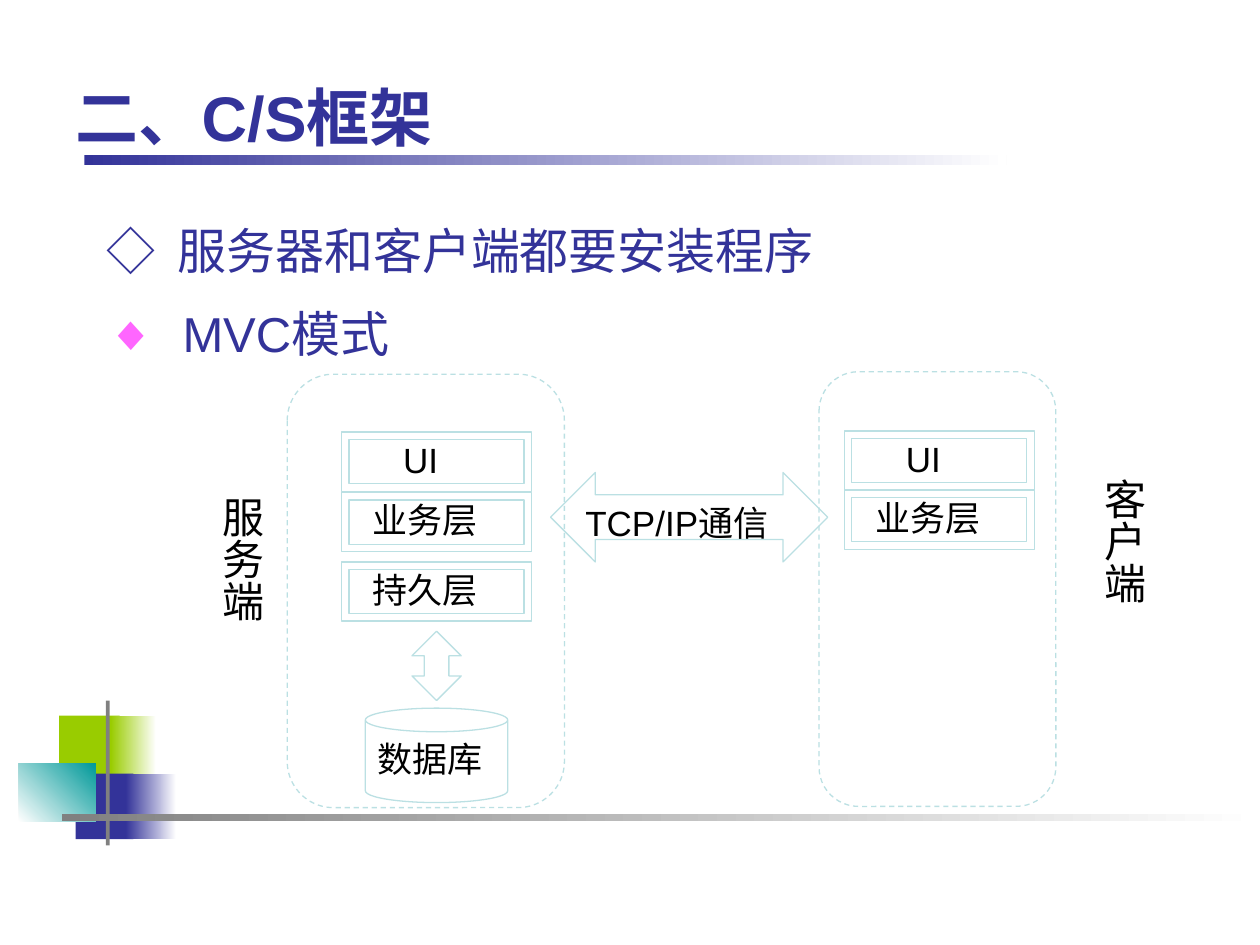
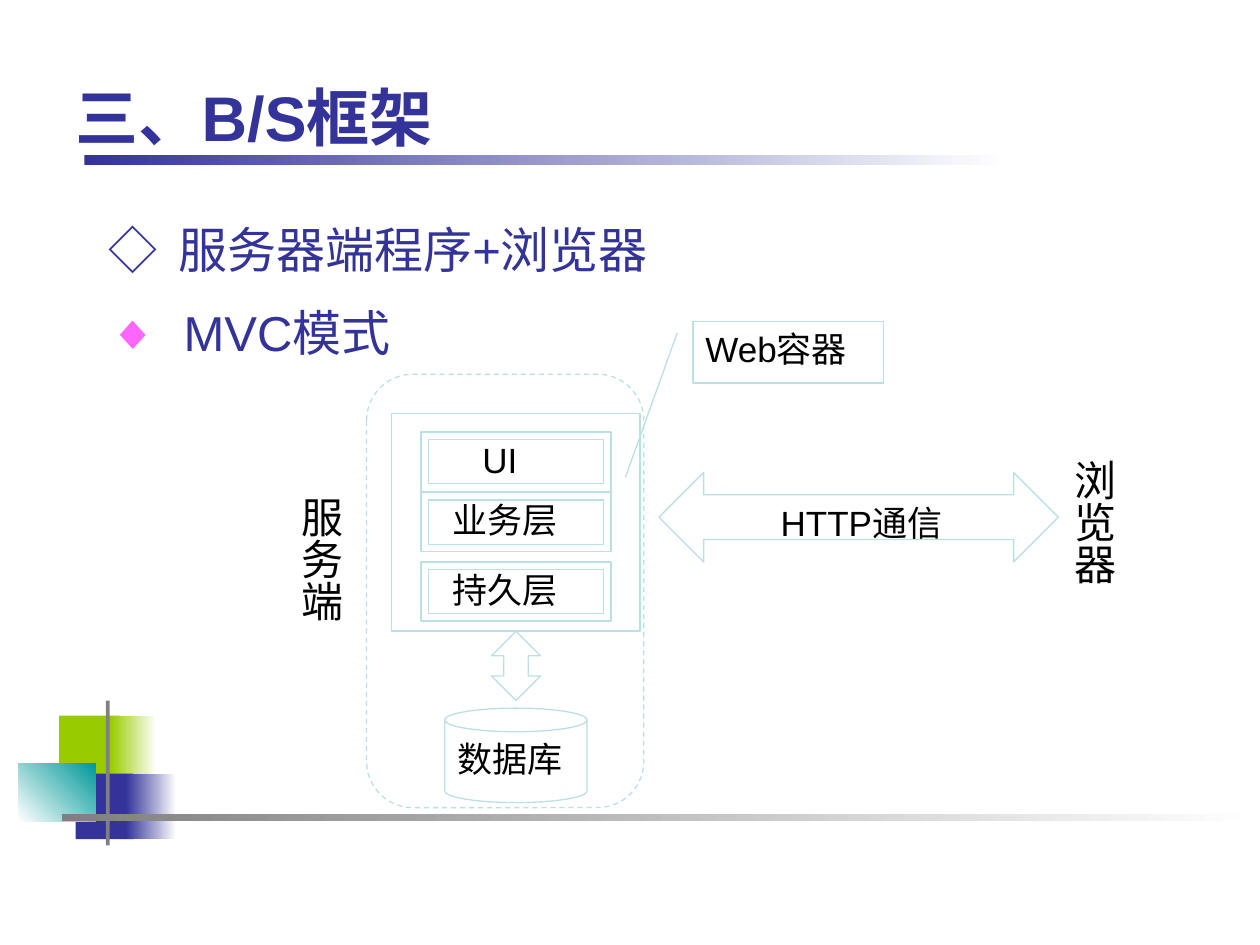
from dataclasses import dataclass

from pptx import Presentation
from pptx.dml.color import RGBColor
from pptx.enum.dml import MSO_LINE
from pptx.enum.shapes import MSO_SHAPE as Preset
from pptx.enum.text import MSO_ANCHOR as Anchor, PP_ALIGN as Align
from pptx.util import Inches, Pt


@dataclass(frozen=True)
class Theme:
    font: str = "Arial"
    navy: str = "333399"
    green: str = "99CC00"
    teal: str = "009999"
    gray: str = "808080"
    pink: str = "FF66FF"
    outline: str = "BBE0E3"
    black: str = "000000"
    white: str = "FFFFFF"
    title_size: int = 36
    point_size: int = 28
    side_size: int = 24
    label_size: int = 20


THEME = Theme()
LAYER_WIDTH, LAYER_HEIGHT, LAYER_BORDER = 1.51, 0.47, 0.06
# Each layer's caption with its left indent
UI, LOGIC, STORAGE = ("UI", 0.39), ("业务层", 0.15), ("持久层", 0.15)


def rgb(value):
    return RGBColor.from_string(value)


def lengths(*values):
    return [Inches(value) for value in values]


# Text and outline helpers
def set_font(paragraph, size, color, bold=False):
    font = paragraph.font
    font.name, font.size, font.bold = THEME.font, Pt(size), bold
    font.color.rgb = rgb(color)


def set_indent(paragraph, margin, first_line=0):
    properties = paragraph._p.get_or_add_pPr()
    properties.set("marL", str(Inches(margin)))
    properties.set("indent", str(Inches(first_line)))


def write_label(shape, text, indent=0):
    frame = shape.text_frame
    frame.word_wrap, frame.vertical_anchor = True, Anchor.TOP
    label = frame.paragraphs[0]
    label.text, label.alignment = text, Align.LEFT
    set_font(label, THEME.label_size, THEME.black)
    set_indent(label, indent)


def style_outline(shape):
    shape.shadow.inherit = False
    shape.fill.background()
    shape.line.color.rgb = rgb(THEME.outline)
    shape.line.width = Pt(0.75)


def add_outline(slide, preset, box, adjustments=()):
    shape = slide.shapes.add_shape(preset, *lengths(*box))
    style_outline(shape)
    for index, value in enumerate(adjustments):
        shape.adjustments[index] = value
    return shape


def add_zone(slide, box):
    zone = add_outline(slide, Preset.ROUNDED_RECTANGLE, box, [0.167])
    zone.line.dash_style = MSO_LINE.DASH


# Shared title and decoration
def add_block(slide, box, start, end=None, angle=0):
    block = slide.shapes.add_shape(Preset.RECTANGLE, *lengths(*box))
    block.shadow.inherit = False
    block.line.fill.background()
    if end is None:
        block.fill.solid()
        block.fill.fore_color.rgb = rgb(start)
        return
    block.fill.gradient()
    block.fill.gradient_angle = angle
    for stop, color in zip(block.fill.gradient_stops, (start, end)):
        stop.color.rgb = rgb(color)


def add_corner(slide, left, top):
    t = THEME
    for x, y, width, height, *colors in (
        (0.32, 0.12, 0.48, 0.52, t.green),
        (0.73, 0.12, 0.36, 0.52, t.green, t.white),
        (0.45, 0.58, 0.46, 0.52, t.navy),
        (0.85, 0.58, 0.40, 0.52, t.navy, t.white),
        (0, 0.50, 0.61, 0.46, t.white, t.teal, 45),
        (0.69, 0, 0.03, 1.15, t.gray),
        (0.34, 0.90, 9.51, 0.06, t.gray, t.white),
    ):
        add_block(slide, (left + x, top + y, width, height), *colors)


def start_slide(deck, heading):
    slide = deck.slides.add_slide(deck.slide_layouts[5])
    title = slide.shapes.title
    title.left, title.top, title.width, title.height = lengths(0.5, 0.3, 9, 1.25)
    title.text_frame.vertical_anchor = Anchor.MIDDLE
    paragraph = title.text_frame.paragraphs[0]
    paragraph.text, paragraph.alignment = heading, Align.LEFT
    set_font(paragraph, THEME.title_size, THEME.navy, bold=True)
    add_block(slide, (0.67, 1.23, 7.32, 0.08), THEME.navy, THEME.white)
    add_corner(slide, 0.15, 5.56)
    return slide


# Two points, each behind a diamond
def add_points(slide, left, top, feature):
    frame = slide.shapes.add_textbox(*lengths(left, top, 8.82, 1.28)).text_frame
    frame.word_wrap = True
    first, second = frame.paragraphs[0], frame.add_paragraph()
    second.space_before = Pt(14)
    for paragraph, diamond, text, indent, color in (
        (first, "◇", feature, 0.56, THEME.navy),
        (second, "◆", "MVC模式", 0.6, THEME.pink),
    ):
        set_font(paragraph, THEME.point_size, THEME.navy)
        set_indent(paragraph, indent, -indent)
        mark = paragraph.add_run()
        mark.text = diamond + "\t"
        mark.font.color.rgb = rgb(color)
        paragraph.add_run().text = text


# Diagram parts
def add_layer(slide, left, top, layer):
    def corners(inset):
        x1, y1 = left + inset, top + inset
        x2, y2 = left + LAYER_WIDTH - inset, top + LAYER_HEIGHT - inset
        return [lengths(x, y) for x, y in ((x1, y1), (x2, y1), (x2, y2), (x1, y2))]

    outer, inner = corners(0), corners(LAYER_BORDER)
    builder = slide.shapes.build_freeform(*outer[0])
    builder.add_line_segments(outer[1:], close=True)
    builder.move_to(*inner[0])
    builder.add_line_segments(inner[1:], close=True)
    box = builder.convert_to_shape()
    style_outline(box)
    write_label(box, *layer)


def add_side_name(slide, left, top, name):
    frame = slide.shapes.add_textbox(*lengths(left, top, 0.6, 1.39)).text_frame
    frame.word_wrap = True
    frame._txBody.bodyPr.set("vert", "eaVert")
    paragraph = frame.paragraphs[0]
    paragraph.text = name
    set_font(paragraph, THEME.side_size, THEME.black)


def add_server(slide, left, top):
    for layer, y in ((UI, 0.46), (LOGIC, 0.94), (STORAGE, 1.49)):
        add_layer(slide, left + 0.43, top + y, layer)
    database = add_outline(slide, Preset.CAN, (left + 0.62, top + 2.65, 1.13, 0.75), [0.25])
    write_label(database, "数据库")
    add_outline(slide, Preset.UP_DOWN_ARROW, (left + 0.99, top + 2.04, 0.39, 0.55), [0.5, 0.5])
    add_zone(slide, (left, top, 2.2, 3.44))
    add_side_name(slide, left - 0.71, top + 0.87, "服务端")


def add_client(slide, left, top):
    for row, layer in enumerate((UI, LOGIC), 1):
        add_layer(slide, left + 0.2, top + row * LAYER_HEIGHT, layer)
    add_zone(slide, (left, top, 1.88, 3.45))
    add_side_name(slide, left + 2.07, top + 0.75, "客户端")


def add_link(slide, left, width, protocol, indent=0):
    arrow = add_outline(slide, Preset.LEFT_RIGHT_ARROW, (left, 3.75, width, 0.71), [0.5, 0.5])
    write_label(arrow, protocol, indent)


def add_web_container(slide, left, top):
    add_outline(slide, Preset.RECTANGLE, (left, top, 1.97, 1.73))
    callout = add_outline(slide, Preset.LINE_CALLOUT_1, (left + 2.39, top - 0.73, 1.51, 0.49),
                          [0.188, -0.083, 2.523, -0.355])
    write_label(callout, "Web容器")


# Slides
def build_client_server(deck):
    slide = start_slide(deck, "二、C/S框架")
    add_points(slide, 0.75, 1.7, "服务器和客户端都要安装程序")
    add_server(slide, 2.28, 2.97)
    add_link(slide, 4.37, 2.2, "TCP/IP通信")
    add_client(slide, 6.5, 2.95)


def build_browser_server(deck):
    slide = start_slide(deck, "三、B/S框架")
    add_points(slide, 0.76, 1.69, "服务器端程序+浏览器")
    add_server(slide, 2.91, 2.97)
    add_link(slide, 5.23, 3.17, "HTTP通信", indent=0.69)
    add_side_name(slide, 8.33, 3.55, "浏览器")
    add_web_container(slide, 3.11, 3.28)


def main():
    deck = Presentation()
    deck.slide_width, deck.slide_height = lengths(10, 7.5)
    build_client_server(deck)
    build_browser_server(deck)
    deck.save("out.pptx")


if __name__ == "__main__":
    main()
